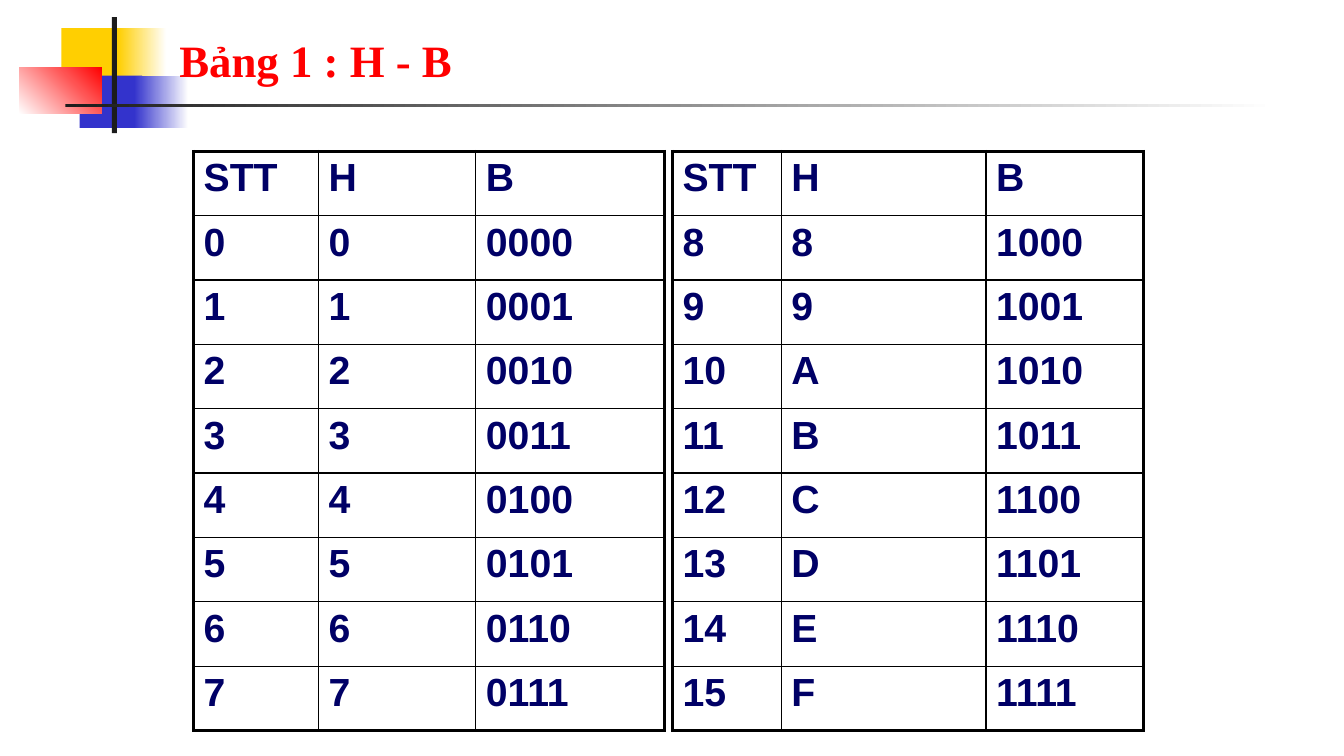
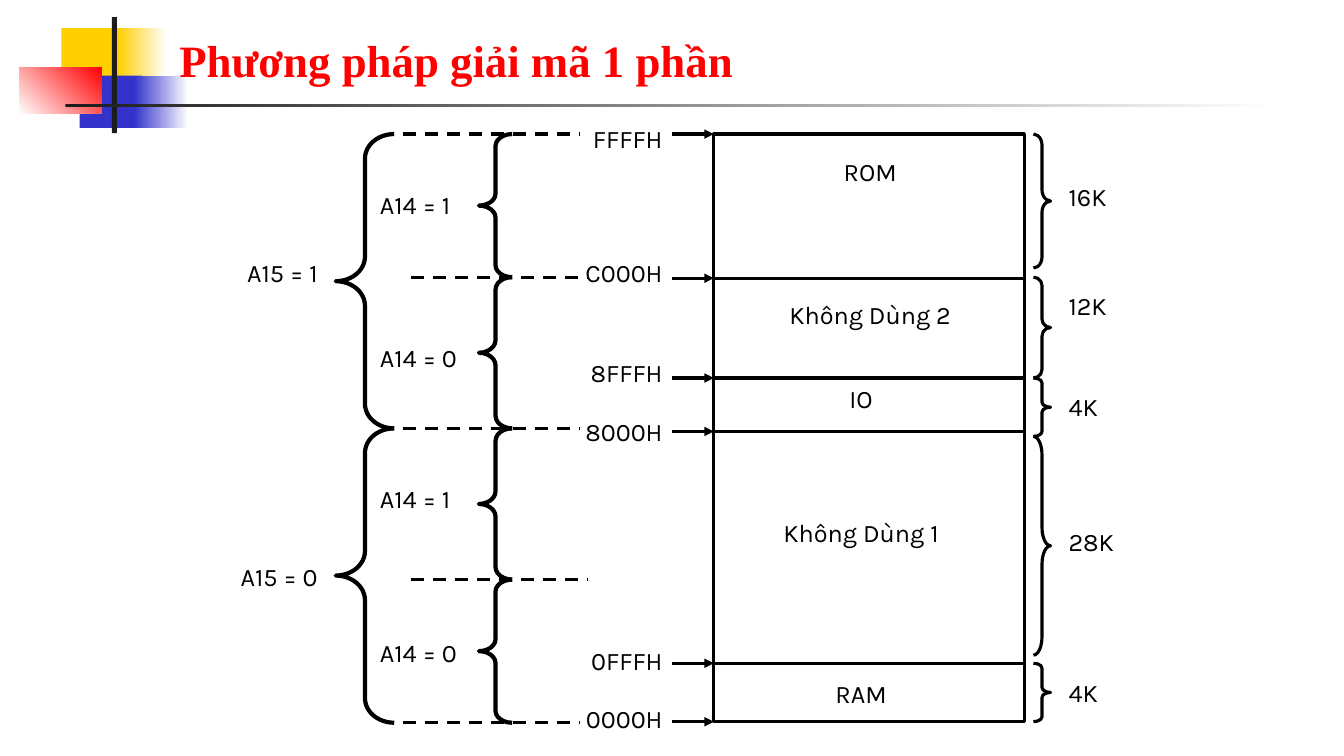
from lxml.etree import SubElement
from pptx import Presentation
from pptx.dml.color import RGBColor
from pptx.enum.dml import MSO_LINE
from pptx.enum.shapes import MSO_CONNECTOR, MSO_SHAPE
from pptx.enum.text import MSO_ANCHOR, PP_ALIGN
from pptx.oxml import parse_xml
from pptx.oxml.ns import nsdecls, qn
from pptx.util import Inches, Pt

HUES = {
    "gold": "FFCF01", "blue": "3333CC", "red": "FF0000", "dark": "1C1C1C",
    "white": "FFFFFF", "black": "000000", "navy": "000066",
}
LEFT, MID, RIGHT = PP_ALIGN.LEFT, PP_ALIGN.CENTER, PP_ALIGN.RIGHT
THIN, EDGE, BOLD = 1, 2.25, 3
TALL = 0.4


def hue(name):
    """Return the named colour."""
    return RGBColor.from_string(HUES[name])


def style(para, face, size, tone, bold=False):
    """Set the font of a paragraph."""
    font = para.font
    font.name, font.size, font.bold = face, Pt(size), bold
    font.color.rgb = hue(tone)


def add_text(slide, text, x, y, w, h=TALL, align=LEFT):
    """Add a wrapped line of diagram text."""
    frame = slide.shapes.add_textbox(*map(Inches, (x, y, w, h))).text_frame
    frame.word_wrap = True
    para = frame.paragraphs[0]
    para.text, para.alignment = text, align
    style(para, "Karla", 18, "black")
    return frame


def add_form(slide, kind, x, y, w, h):
    """Add a preset shape without shadow."""
    form = slide.shapes.add_shape(kind, *map(Inches, (x, y, w, h)))
    form.shadow.inherit = False
    return form


def add_block(slide, box, tone, end=None, angle=0):
    """Add a plain or fading block."""
    block = add_form(slide, MSO_SHAPE.RECTANGLE, *box)
    block.line.fill.background()
    if end is None:
        block.fill.solid()
        block.fill.fore_color.rgb = hue(tone)
        return
    block.fill.gradient()
    block.fill.gradient_angle = angle
    for stop, name, place in zip(block.fill.gradient_stops, (tone, end), (0, 1)):
        stop.color.rgb = hue(name)
        stop.position = place


def add_frame(slide, kind, x, y, w, h, width=EDGE):
    """Add an unfilled black outline."""
    form = add_form(slide, kind, x, y, w, h)
    form.fill.background()
    form.line.color.rgb = hue("black")
    form.line.width = Pt(width)
    return form


def add_brace(slide, kind, x, y, w, h, width=EDGE):
    """Add a brace whose curl grows with its height."""
    brace = add_frame(slide, kind, x, y, w, h, width)
    brace.adjustments[0] = h / w / 12


def add_line(slide, x, y, w, dash=False, arrow=False):
    """Add a level line, dashed or with an arrowhead."""
    line = slide.shapes.add_connector(
        MSO_CONNECTOR.STRAIGHT, *map(Inches, (x, y, x + w, y)))
    line.line.color.rgb = hue("black")
    line.line.width = Pt(EDGE)
    props = line._element.spPr
    if dash:
        line.line.dash_style = MSO_LINE.DASH
    if arrow:
        SubElement(props.find(qn("a:ln")), qn("a:tailEnd"), type="triangle")
    SubElement(props, qn("a:effectLst"))


def add_base(deck, title):
    """Add a blank slide with the shared ornament and title."""
    slide = deck.slides.add_slide(deck.slide_layouts[6])
    for block in (
        ((0.61, 0.28, 0.64, 0.52), "gold"),
        ((1.17, 0.28, 0.48, 0.52), "gold", "white"),
        ((0.79, 0.75, 0.62, 0.52), "blue"),
        ((1.33, 0.75, 0.54, 0.52), "blue", "white"),
        ((0.19, 0.67, 0.82, 0.46), "white", "red", 45),
        ((1.11, 0.17, 0.05, 1.15), "dark"),
        ((0.65, 1.03, 12, 0.03), "dark", "white"),
    ):
        add_block(slide, *block)
    frame = add_text(slide, title, 1.68, 0.23, 11.36, 0.68)
    frame.vertical_anchor = MSO_ANCHOR.BOTTOM
    style(frame.paragraphs[0], "Times New Roman", 32, "red", True)
    return slide


def set_rims(cell, thick):
    """Draw cell borders, thick on the sides given."""
    props = cell._tc.get_or_add_tcPr()
    for spot, side in enumerate("LRTB"):
        width = Pt(EDGE if side in thick else THIN)
        props.insert(spot, parse_xml(
            f'<a:ln{side} {nsdecls("a")} w="{width}"><a:solidFill>'
            f'<a:srgbClr val="{HUES["black"]}"/></a:solidFill></a:ln{side}>'))


def add_codes(slide, x, y, h, cols, first):
    """Add a table of eight hex digits and their bits."""
    rows = [("STT", "H", "B")]
    rows += [(str(n), f"{n:X}", f"{n:04b}") for n in range(first, first + 8)]
    box = map(Inches, (x, y, sum(cols), h))
    table = slide.shapes.add_table(len(rows), len(cols), *box).table
    table.first_row = table.horz_banding = False
    for col, width in zip(table.columns, cols):
        col.width = Inches(width)
    for r, row in enumerate(rows):
        table.rows[r].height = Inches(h / len(rows))
        for c, text in enumerate(row):
            cell = table.cell(r, c)
            cell.fill.background()
            para = cell.text_frame.paragraphs[0]
            para.text = text
            style(para, "Arial", 28, "navy", True)
            rims = {"L": c == 0, "R": c == len(cols) - 1,
                    "T": r == 0, "B": r == len(rows) - 1}
            set_rims(cell, [side for side in rims if rims[side]])


def add_map(slide, x, y):
    """Draw the memory map with addresses, regions and sizes."""
    left, wide = x + 1.66, 3.08
    add_frame(slide, MSO_SHAPE.RECTANGLE, left, y, wide, 5.83)
    marks = (
        ("FFFFH", -0.16, 0), ("C000H", 1.17, 1.43), ("8FFFH", 2.17, 2.42),
        ("8000H", 2.75, 2.95), ("0FFFH", 5.02, 5.25), ("0000H", 5.6, 5.83),
    )
    for text, top, edge in marks:
        add_text(slide, text, x, y + top, 1.25, align=RIGHT)
        add_line(slide, x + 1.25, y + edge, 0.41, arrow=True)
    for _, _, edge in marks[1:-1]:
        add_line(slide, left, y + edge, wide)
    for text, dx, top in (
        ("ROM", 0.34, 0.17), ("Không Dùng 2", 0.34, 1.59), ("IO", 0.25, 2.42),
        ("Không Dùng 1", 0.25, 3.75), ("RAM", 0.25, 5.35),
    ):
        add_text(slide, text, left + dx, y + top, 2.42, align=MID)
    for text, top, start, high in (
        ("16K", 0.42, 0, 1.33), ("12K", 1.5, 1.42, 1), ("4K", 2.5, 2.42, 0.58),
        ("28K", 3.84, 3, 2.17), ("4K", 5.34, 5.25, 0.58),
    ):
        add_brace(slide, MSO_SHAPE.RIGHT_BRACE,
                  left + 3.17, y + start, 0.17, high)
        add_text(slide, text, left + 3.42, y + top, 0.75)


def add_tree(slide, x, y):
    """Draw the braces that split the space by A15 and A14."""
    kind, half = MSO_SHAPE.LEFT_BRACE, 2.92
    levels = (0, 1.42, half, 4.42, 2 * half)
    for n, level in enumerate(levels):
        add_line(slide, x + (2.08 if n % 2 else 2), y + level, 1.75, dash=True)
    for n, (start, end) in enumerate(zip(levels, levels[1:])):
        add_brace(slide, kind, x + 2.75, y + start, 0.33, end - start, BOLD)
        top = n // 2 * half + (2.02 if n % 2 else 0.5)
        add_text(slide, f"A14 = {1 - n % 2}", x + 1.67, y + top, 1.25)
    for n, top in enumerate((1.17, 4.19)):
        add_brace(slide, kind, x + 1.33, y + n * half, 0.58, half, BOLD)
        add_text(slide, f"A15 = {1 - n}", x, y + top, 1.25, align=RIGHT)


def main():
    """Build and save both slides."""
    deck = Presentation()
    deck.slide_width, deck.slide_height = Inches(13.33), Inches(7.5)
    slide = add_base(deck, "Bảng 1 : H - B")
    add_codes(slide, 6.67, 1.5, 5.75, (1.08, 2.03, 1.56), 8)
    add_codes(slide, 1.92, 1.5, 5.75, (1.24, 1.56, 1.87), 0)
    slide = add_base(deck, "Phương pháp giải mã 1 phần")
    add_map(slide, 5.42, 1.33)
    add_tree(slide, 2, 1.33)
    deck.save("out.pptx")


if __name__ == "__main__":
    main()
